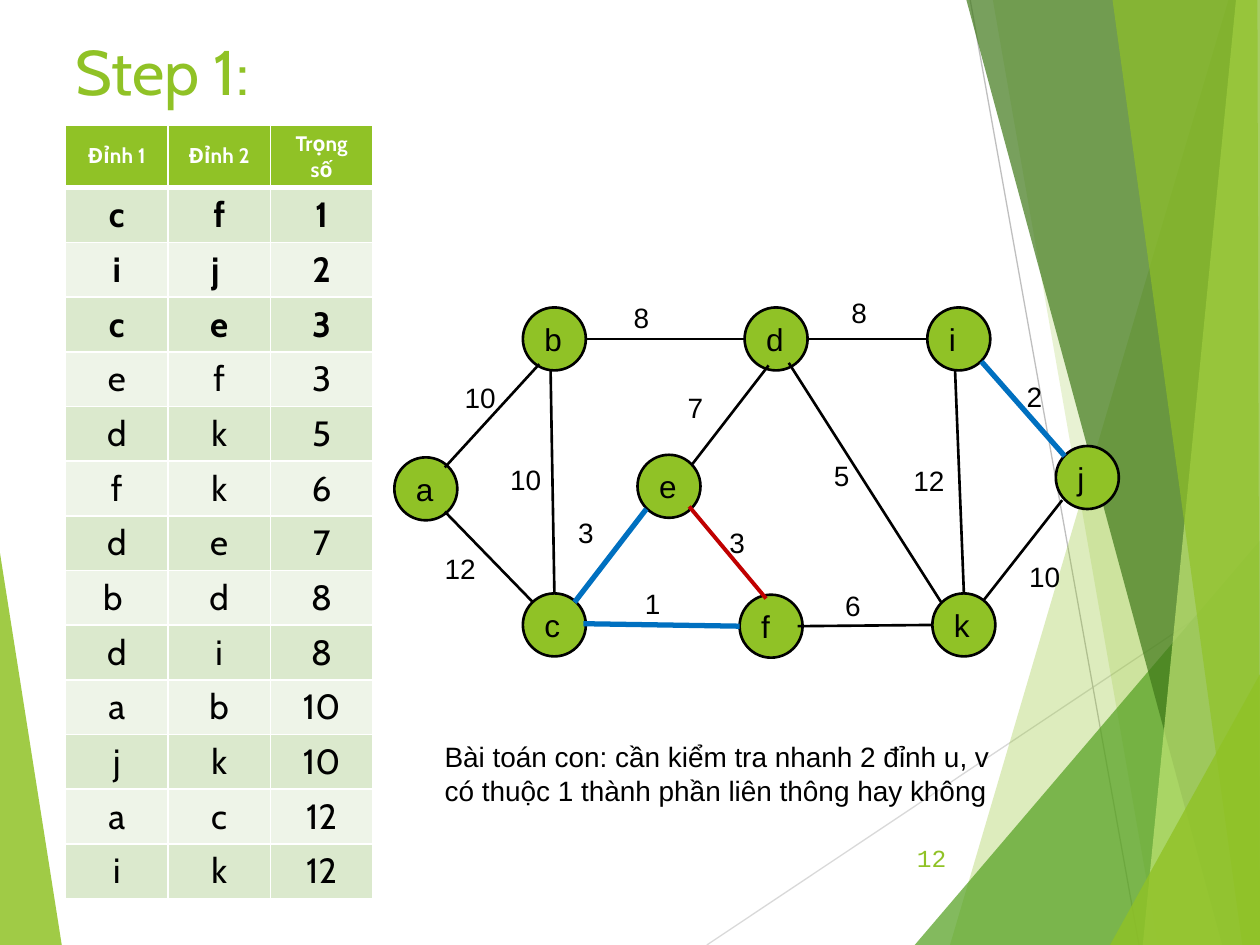
from typing import NamedTuple

from lxml import etree
from pptx import Presentation
from pptx import util as u
from pptx.dml.color import RGBColor
from pptx.enum import shapes, text
from pptx.oxml import ns

# Grid: 100 columns by 75 rows of square cells
CELL = u.Inches(0.1)
COLUMNS, ROWS = 100, 75
NODE_SIZE = 5
WEIGHT_BOX = (7.6, 5)

GREEN = RGBColor(0x90, 0xC2, 0x26)
LEAF = RGBColor(0x54, 0xA0, 0x21)
FOREST = RGBColor(0x3F, 0x78, 0x19)
LIME = RGBColor(0xC0, 0xE4, 0x74)
BAND_DARK = RGBColor(0xDB, 0xE9, 0xCD)
BAND_LIGHT = RGBColor(0xEE, 0xF4, 0xE8)
LIGHT_GRAY = RGBColor(0xD9, 0xD9, 0xD9)
GRAY = RGBColor(0xBF, 0xBF, 0xBF)
BLUE = RGBColor(0x00, 0x70, 0xC0)
RED = RGBColor(0xC0, 0x00, 0x00)
BLACK = RGBColor(0, 0, 0)
WHITE = RGBColor(0xFF, 0xFF, 0xFF)

Point = tuple[float, float]


class Facet(NamedTuple):
    points: list[Point]
    color: RGBColor
    opacity: int


class Node(NamedTuple):
    name: str
    left: float
    top: float


class Edge(NamedTuple):
    first: str
    second: str
    weight: int
    start: Point
    end: Point
    label: Point
    state: str = "open"


LINE_STYLES = {"open": (BLACK, 1.5), "kept": (BLUE, 3), "rejected": (RED, 2.25)}

FACETS = [
    Facet([(75.4, 75), (97.5, 0), (100, 0), (100, 75)], GREEN, 30),
    Facet([(78.8, 0), (91.9, 75), (100, 75), (100, 0)], GREEN, 20),
    Facet([(72.6, 75), (100, 42.9), (100, 75)], LEAF, 72),
    Facet([(76.7, 0), (97, 75), (100, 75), (100, 0)], FOREST, 70),
    Facet([(98.1, 0), (90.7, 75), (100, 75), (100, 0)], LIME, 70),
    Facet([(88.3, 0), (98.6, 75), (100, 75), (99.8, 0)], GREEN, 65),
    Facet([(88.1, 75), (100, 53.5), (100, 75)], GREEN, 80),
]
LEFT_FACET = Facet([(0, 43.9), (4.9, 75), (0, 75)], GREEN, 85)

NODES = [
    Node("b", 41.5, 24.4), Node("d", 59.1, 24.4), Node("i", 73.6, 24.4),
    Node("c", 41.5, 47.1), Node("e", 50.6, 36.1), Node("f", 58.7, 47.2),
    Node("k", 74, 47.1), Node("j", 83.8, 35.4), Node("a", 31.3, 36.3),
]

# Edges in order of weight, as the table lists them
EDGES = [
    Edge("c", "f", 1, (46.3, 49.5), (58.7, 49.7), (50.2, 46.1), "kept"),
    Edge("i", "j ", 2, (77.9, 28.7), (84.5, 36.2), (80.5, 29.6), "kept"),
    Edge("c", "e", 3, (51.3, 40.4), (45.6, 47.8), (44.9, 40.4), "kept"),
    Edge("e", "f", 3, (54.7, 40.2), (60.8, 47.5), (56.9, 41.2), "rejected"),
    Edge("d", "k", 5, (62.6, 28.8), (74.7, 47.8), (65.2, 35.9)),
    Edge("f", "k", 6, (63.3, 49.7), (74, 49.6), (66.1, 46.2)),
    Edge("d", "e", 7, (61, 29), (54.9, 36.9), (53.6, 30.5)),
    Edge("b ", "d", 8, (46.5, 26.9), (59.1, 26.9), (49.3, 23.4)),
    Edge("d", "i", 8, (64.1, 26.9), (73.6, 26.9), (66.6, 23)),
    Edge("a", "b", 10, (42.8, 28.9), (35.3, 37.1), (35.9, 29.7)),
    Edge("j", "k", 10, (84.3, 39.7), (78.1, 47.6), (80.7, 43.9)),
    Edge("a", "c", 12, (35.3, 40.6), (42.3, 47.8), (34.3, 43.3)),
    Edge("i", "k", 12, (76.5, 47.1), (75.8, 29.4), (71.5, 36.3)),
]
UNLISTED_EDGE = Edge("b", "c", 10, (43.7, 29.4), (44, 47.1), (39.5, 36.2))


def grid(*cells: float) -> list[u.Emu]:
    return [u.Emu(round(cell * CELL)) for cell in cells]


def write(frame, words: str, size: float, color: RGBColor, font: str = "Arial",
          bold: bool = False, align=text.PP_ALIGN.LEFT) -> None:
    frame.text = words
    paragraph = frame.paragraphs[0]
    paragraph.alignment = align
    face = {"name": font, "size": u.Pt(size), "bold": bold}
    for name, value in face.items():
        setattr(paragraph.runs[0].font, name, value)
    paragraph.runs[0].font.color.rgb = color


def add_words(slide, box: tuple, words: str, size: float = 16,
              color: RGBColor = BLACK, **style):
    frame = slide.shapes.add_textbox(*grid(*box)).text_frame
    frame.word_wrap = True
    write(frame, words, size, color, **style)
    return frame


def add_line(slide, start: Point, end: Point, color: RGBColor, width: float) -> None:
    line = slide.shapes.add_connector(shapes.MSO_CONNECTOR.STRAIGHT, *grid(*start, *end))
    line.line.color.rgb = color
    line.line.width = u.Pt(width)
    etree.SubElement(line.element.spPr, ns.qn("a:effectLst"))


def add_facet(slide, facet: Facet) -> None:
    start, *rest = [tuple(grid(*point)) for point in facet.points]
    builder = slide.shapes.build_freeform(*start)
    builder.add_line_segments(rest)
    shape = builder.convert_to_shape()
    shape.shadow.inherit = False
    shape.line.fill.background()
    shape.fill.solid()
    shape.fill.fore_color.rgb = facet.color
    color = shape.element.spPr.find(".//" + ns.qn("a:srgbClr"))
    etree.SubElement(color, ns.qn("a:alpha"), val=str(facet.opacity * 1000))


def add_node(slide, node: Node) -> None:
    circle = slide.shapes.add_shape(
        shapes.MSO_SHAPE.OVAL, *grid(node.left, node.top, NODE_SIZE, NODE_SIZE))
    circle.shadow.inherit = False
    circle.fill.solid()
    circle.fill.fore_color.rgb = GREEN
    circle.line.color.rgb = BLACK
    circle.line.width = u.Pt(1.5)
    write(circle.text_frame, node.name, 18, BLACK)


def fill_cell(cell, words: str, fill: RGBColor, size: float, color: RGBColor,
              bold: bool, bottom: float) -> None:
    cell.vertical_anchor = text.MSO_ANCHOR.MIDDLE
    write(cell.text_frame, words, size, color, "Cabin", bold, text.PP_ALIGN.CENTER)
    properties = cell._tc.get_or_add_tcPr()
    for side, width in {"L": 1, "R": 1, "T": 1, "B": bottom}.items():
        border = etree.SubElement(properties, ns.qn(f"a:ln{side}"), w=str(u.Pt(width)))
        solid = etree.SubElement(border, ns.qn("a:solidFill"))
        etree.SubElement(solid, ns.qn("a:srgbClr"), val=str(WHITE))
    cell.fill.solid()
    cell.fill.fore_color.rgb = fill


def add_edge_table(slide) -> None:
    headings = ("Đỉnh 1", "Đỉnh 2", "Trọng số")
    count = len(EDGES) + 1
    table = slide.shapes.add_table(
        count, len(headings), *grid(5.2, 9.9, 24.4, 4.1 * count)).table
    for column, heading in enumerate(headings):
        fill_cell(table.cell(0, column), heading, GREEN, 12, WHITE, True, 3)
    for row, edge in enumerate(EDGES, 1):
        band = BAND_DARK if row % 2 else BAND_LIGHT
        for column, words in enumerate((edge.first, edge.second, str(edge.weight))):
            fill_cell(table.cell(row, column), words, band, 20, BLACK,
                      edge.state == "kept", 1)


def main() -> None:
    deck = Presentation()
    deck.slide_width, deck.slide_height = grid(COLUMNS, ROWS)
    slide = deck.slides.add_slide(deck.slide_layouts[5])

    # Backdrop
    add_facet(slide, LEFT_FACET)
    add_line(slide, (56.1, ROWS), (COLUMNS, 45.7), LIGHT_GRAY, 0.75)
    add_line(slide, (77, 0), (90.4, ROWS), GRAY, 0.75)
    for facet in FACETS:
        add_facet(slide, facet)

    # Title, in front of the backdrop, and page number
    title = slide.shapes.title
    slide.shapes.element.append(title.element)
    place = dict(zip(("left", "top", "width", "height"), grid(5, 2.1, 69.4, 14.4)))
    for name, value in place.items():
        setattr(title, name, value)
    title.text_frame.vertical_anchor = text.MSO_ANCHOR.TOP
    write(title.text_frame, "Step 1:", 36, GREEN, "Cabin")
    page = add_words(slide, (70.5, 66.1, 5.6, 4), "12", 14, GREEN,
                     font="Courier New", align=text.PP_ALIGN.RIGHT)
    page.vertical_anchor = text.MSO_ANCHOR.MIDDLE

    # Graph
    for node in NODES:
        add_node(slide, node)
    for edge in [*EDGES, UNLISTED_EDGE]:
        add_line(slide, edge.start, edge.end, *LINE_STYLES[edge.state])
        add_words(slide, (*edge.label, *WEIGHT_BOX), str(edge.weight))

    # Edge table and remark
    add_edge_table(slide)
    add_words(slide, (34.3, 58.2, 46.9, 5), "Bài toán con: cần kiểm tra nhanh 2 đỉnh u, v "
              "có thuộc 1 thành phần liên thông hay không")
    deck.save("out.pptx")


if __name__ == "__main__":
    main()
